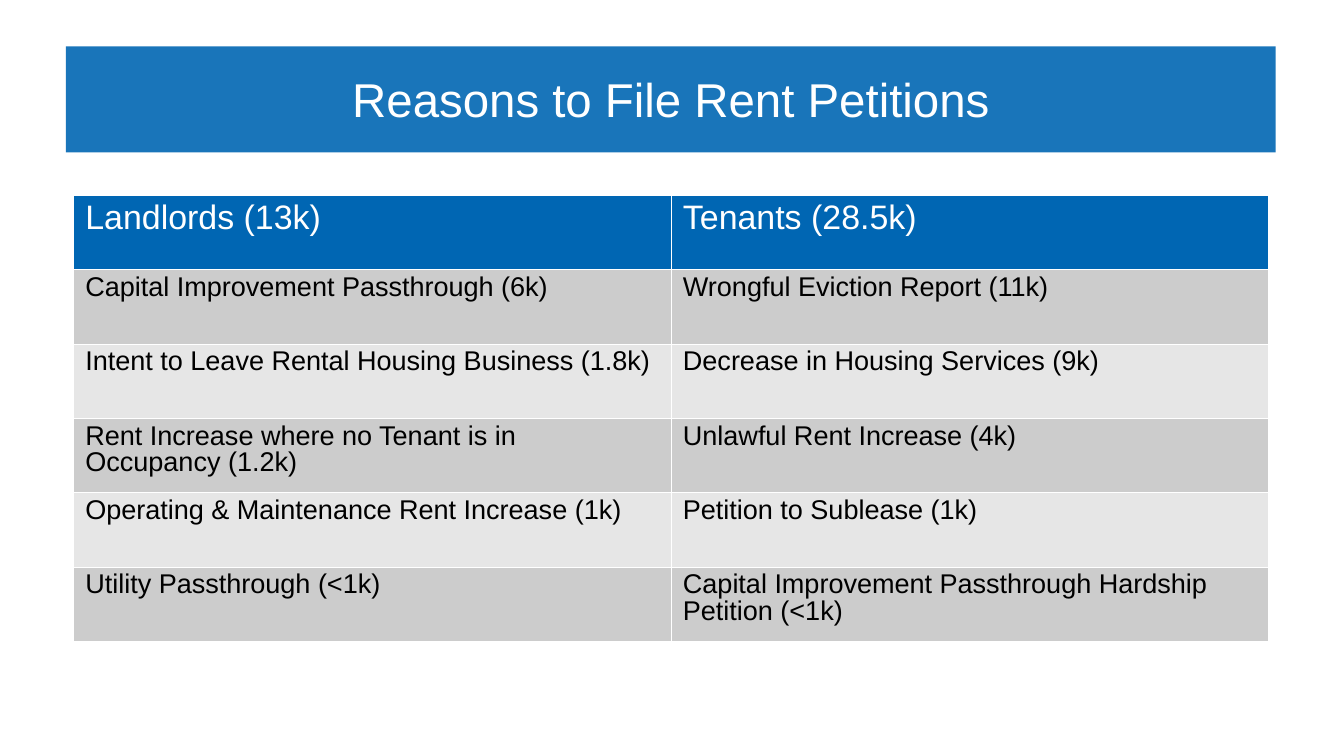
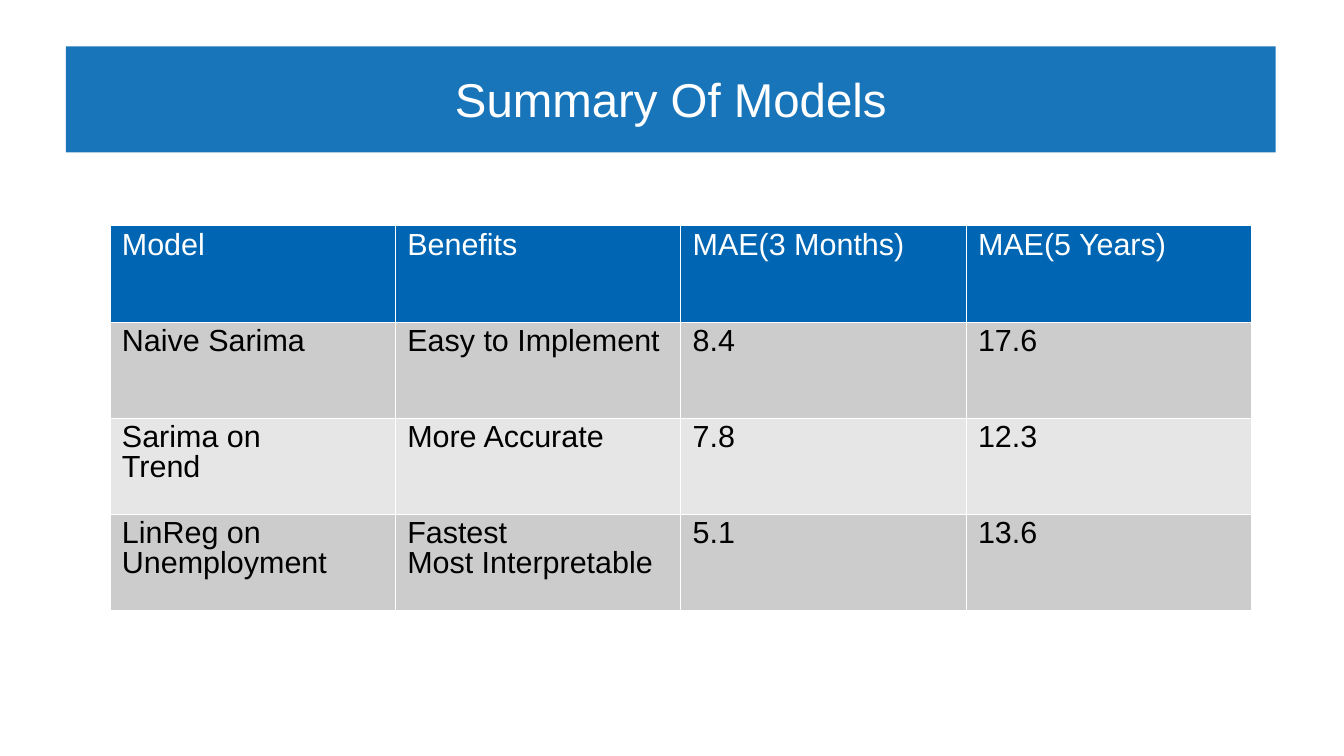
from dataclasses import dataclass

from lxml import etree
from pptx import Presentation
from pptx.dml.color import RGBColor
from pptx.enum.text import MSO_ANCHOR, MSO_AUTO_SIZE, PP_ALIGN
from pptx.oxml.ns import qn
from pptx.slide import Slide
from pptx.util import Emu, Inches, Pt

CENTER, LEFT = PP_ALIGN.CENTER, PP_ALIGN.LEFT
MIDDLE, TOP = MSO_ANCHOR.MIDDLE, MSO_ANCHOR.TOP
NO_AUTOFIT = MSO_AUTO_SIZE.NONE
TITLE_ONLY = 5

# The slide is a fine grid of square cells, 0.02 inch wide
GRID_COLUMNS, GRID_ROWS = 551, 310
CELL = Inches(0.02)


@dataclass(frozen=True)
class Theme:
    font: str = "Arial"
    blue: str = "0066B3"
    white: str = "FFFFFF"
    black: str = "000000"
    bands: tuple[str, str] = ("CCCCCC", "E6E6E6")
    title_opacity: int = 90
    title_size: int = 28
    loose: float = 0.93
    tight: float = 0.87
    border: float = 0.06


THEME = Theme()


@dataclass(frozen=True)
class TableSlide:
    """A titled table; place and cell sizes are in grid units."""
    title: str
    left: float
    top: float
    column_width: float
    row_height: float
    header_size: int
    header_spacing: float
    body_size: int
    rows: list[tuple[str, ...]]


TABLE_SLIDES = [
    TableSlide(
        "Reasons to File Rent Petitions", 30, 80, 245, 30.5, 20, THEME.loose, 16,
        [
            ("Landlords (13k)", "Tenants (28.5k)"),
            ("Capital Improvement Passthrough (6k)", "Wrongful Eviction Report (11k)"),
            ("Intent to Leave Rental Housing Business (1.8k)",
             "Decrease in Housing Services (9k)"),
            ("Rent Increase where no Tenant is in Occupancy (1.2k)",
             "Unlawful Rent Increase (4k)"),
            ("Operating & Maintenance Rent Increase (1k)", "Petition to Sublease (1k)"),
            ("Utility Passthrough (<1k)",
             "Capital Improvement Passthrough Hardship Petition (<1k)"),
        ],
    ),
    TableSlide(
        "Summary Of Models", 45, 92.5, 117, 39.4, 18, THEME.tight, 18,
        [
            ("Model", "Benefits", "MAE(3 Months)", "MAE(5 Years)"),
            ("Naive Sarima", "Easy to Implement", "8.4", "17.6"),
            ("Sarima on\vTrend", "More Accurate", "7.8", "12.3"),
            ("LinReg on Unemployment", "Fastest\nMost Interpretable", "5.1", "13.6"),
        ],
    ),
]


def grid(units: float) -> Emu:
    return Emu(round(units * CELL))


def write(frame, text: str, size: int, color: str, spacing: float, align=LEFT) -> None:
    frame.text = text
    for paragraph in frame.paragraphs:
        paragraph.alignment = align
        paragraph.line_spacing = spacing
        for run in paragraph.runs:
            run.font.name = THEME.font
            run.font.size = Pt(size)
            run.font.bold = False
            run.font.color.rgb = RGBColor.from_string(color)


def add_title(slide: Slide, text: str) -> None:
    band = slide.shapes.title
    band.left, band.top, band.width, band.height = map(grid, (27, 19, 496, 43.5))
    band.fill.solid()
    band.fill.fore_color.rgb = RGBColor.from_string(THEME.blue)
    # Slight transparency of the band
    color = band.element.spPr.find(f".//{qn('a:srgbClr')}")
    etree.SubElement(color, qn("a:alpha"), val=str(THEME.title_opacity * 1000))

    frame = band.text_frame
    frame.word_wrap = True
    frame.auto_size = NO_AUTOFIT
    frame.vertical_anchor = MIDDLE
    frame.margin_left = frame.margin_right = frame.margin_bottom = 0
    frame.margin_top = Inches(0.03)
    write(frame, text, THEME.title_size, THEME.white, THEME.loose, CENTER)


def add_borders(cell) -> None:
    properties = cell._tc.get_or_add_tcPr()
    for side in ("a:lnL", "a:lnR", "a:lnT", "a:lnB"):
        line = etree.SubElement(properties, qn(side), w=str(Pt(THEME.border)))
        fill = etree.SubElement(line, qn("a:solidFill"))
        etree.SubElement(fill, qn("a:srgbClr"), val=THEME.white)


def add_table(slide: Slide, content: TableSlide) -> None:
    row_count, column_count = len(content.rows), len(content.rows[0])
    table = slide.shapes.add_table(
        row_count, column_count, grid(content.left), grid(content.top),
        grid(content.column_width * column_count), grid(content.row_height * row_count),
    ).table
    table.horz_banding = False
    for column in table.columns:
        column.width = grid(content.column_width)

    for index, texts in enumerate(content.rows):
        table.rows[index].height = grid(content.row_height)
        # Blue header, then alternating grey bands
        if index == 0:
            fill, color = THEME.blue, THEME.white
            size, spacing = content.header_size, content.header_spacing
        else:
            fill, color = THEME.bands[(index - 1) % 2], THEME.black
            size, spacing = content.body_size, THEME.tight
        for cell, text in zip(table.rows[index].cells, texts):
            add_borders(cell)
            cell.fill.solid()
            cell.fill.fore_color.rgb = RGBColor.from_string(fill)
            cell.vertical_anchor = TOP
            write(cell.text_frame, text, size, color, spacing)


def main() -> None:
    deck = Presentation()
    deck.slide_width, deck.slide_height = grid(GRID_COLUMNS), grid(GRID_ROWS)
    for content in TABLE_SLIDES:
        slide = deck.slides.add_slide(deck.slide_layouts[TITLE_ONLY])
        add_title(slide, content.title)
        add_table(slide, content)
    deck.save("out.pptx")


if __name__ == "__main__":
    main()
